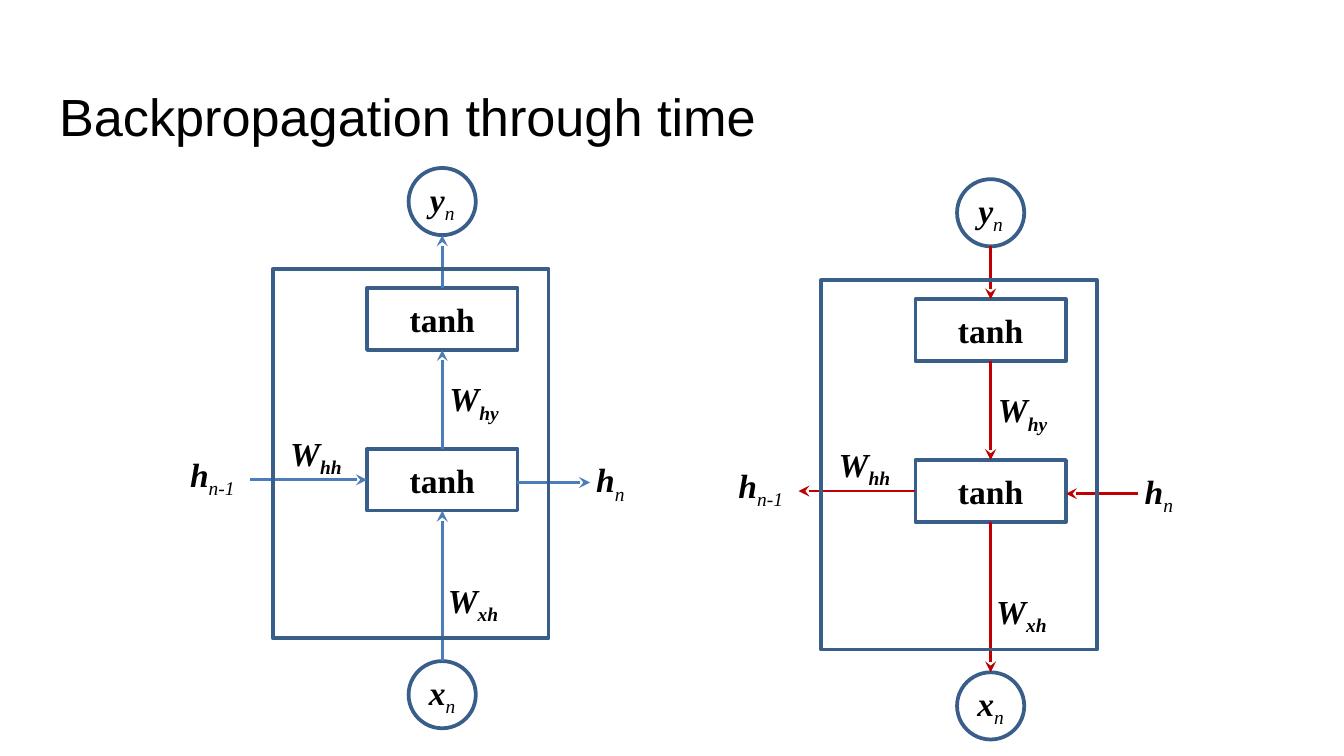
from dataclasses import dataclass
from typing import Optional

from lxml.etree import SubElement
from pptx import Presentation
from pptx.dml.color import RGBColor
from pptx.enum.shapes import MSO_CONNECTOR as Connector, MSO_SHAPE as Preset
from pptx.enum.text import MSO_ANCHOR as Anchor, PP_ALIGN as Align
from pptx.oxml.ns import qn
from pptx.util import Pt

BLACK = RGBColor(0x00, 0x00, 0x00)
OUTLINE = RGBColor(0x39, 0x5E, 0x89)
FORWARD_BLUE = RGBColor(0x4A, 0x7D, 0xBA)
BACKWARD_RED = RGBColor(0xC0, 0x00, 0x00)
SERIF = "Times New Roman"
TOP, LEFT, BOTTOM = 0, 1, 2


@dataclass(frozen=True)
class Symbol:
    base: str
    subscript: str = ""
    italic: bool = True
    bold_subscript: bool = False


@dataclass(frozen=True)
class Node:
    name: str
    symbol: Optional[Symbol]
    preset: Preset
    left: float
    top: float
    width: float
    height: float


@dataclass(frozen=True)
class Label:
    symbol: Symbol
    left: float
    top: float
    width: float
    align: Align


@dataclass(frozen=True)
class Link:
    """Runs in the forward direction; ends may be joined to (node, site)."""
    start: tuple[float, float]
    end: tuple[float, float]
    source: Optional[tuple[str, int]] = None
    target: Optional[tuple[str, int]] = None


@dataclass(frozen=True)
class Pass:
    left: float
    top: float
    color: RGBColor
    arrow_end: str


# Positions inside one network cell, measured from the frame's corner
AXIS = 90.72
BOX_W, BOX_H, CIRCLE, LABEL_H = 80.64, 33.12, 36, 28.8
BOX_LEFT, CIRCLE_LEFT = AXIS - BOX_W / 2, AXIS - CIRCLE / 2
OUTPUT_TOP, HIDDEN_TOP, Y_TOP, X_TOP = 10.4, 96.5, -54, 210.2
HIDDEN_MIDDLE = HIDDEN_TOP + BOX_H / 2
TANH = Symbol("tanh", italic=False)

NODES = [
    Node("x", Symbol("x", "n"), Preset.OVAL, CIRCLE_LEFT, X_TOP, CIRCLE, CIRCLE),
    Node("hidden", TANH, Preset.RECTANGLE, BOX_LEFT, HIDDEN_TOP, BOX_W, BOX_H),
    Node("y", Symbol("y", "n"), Preset.OVAL, CIRCLE_LEFT, Y_TOP, CIRCLE, CIRCLE),
    Node("output", TANH, Preset.RECTANGLE, BOX_LEFT, OUTPUT_TOP, BOX_W, BOX_H),
]
FRAME = Node("frame", None, Preset.RECTANGLE, 0, 0, 147.6, 198)

LINKS = [
    Link((AXIS, X_TOP), (AXIS, HIDDEN_TOP + BOX_H), ("x", TOP), ("hidden", BOTTOM)),
    Link((AXIS, OUTPUT_TOP), (AXIS, Y_TOP + CIRCLE), source=("output", TOP)),
    Link((-12.2, HIDDEN_MIDDLE), (BOX_LEFT, HIDDEN_MIDDLE), target=("hidden", LEFT)),
    Link((BOX_LEFT + BOX_W, 114.5), (169.9, 114.5)),
    Link((AXIS, HIDDEN_TOP), (AXIS, OUTPUT_TOP + BOX_H),
         ("hidden", TOP), ("output", BOTTOM)),
]

LABELS = [
    Label(Symbol("W", "xh", bold_subscript=True), 86.6, 162.9, 43.2, Align.LEFT),
    Label(Symbol("W", "hh", bold_subscript=True), 2.2, 84.2, 43.9, Align.LEFT),
    Label(Symbol("W", "hy", bold_subscript=True), 87.5, 55.1, 42.5, Align.LEFT),
    Label(Symbol("h", "n-1"), -52.9, 95.5, 41, Align.CENTER),
    Label(Symbol("h", "n"), 165.3, 98.6, 31, Align.CENTER),
]

PASSES = [
    Pass(440, 150, BACKWARD_RED, "a:headEnd"),
    Pass(146.2, 144, FORWARD_BLUE, "a:tailEnd"),
]


def write_symbol(paragraph, symbol: Symbol, align: Align) -> None:
    paragraph.alignment = align
    parts = [(symbol.base, True, False)]
    if symbol.subscript:
        parts.append((symbol.subscript, symbol.bold_subscript, True))
    for text, bold, lowered in parts:
        run = paragraph.add_run()
        run.text = text
        font = run.font
        font.name, font.size = SERIF, Pt(18)
        font.bold, font.italic = bold, symbol.italic
        font.color.rgb = BLACK
        if lowered:
            run._r.get_or_add_rPr().set("baseline", "-25000")


def draw_node(slide, node: Node, origin: Pass):
    shape = slide.shapes.add_shape(
        node.preset, Pt(origin.left + node.left), Pt(origin.top + node.top),
        Pt(node.width), Pt(node.height))
    shape.shadow.inherit = False
    shape.fill.background()
    shape.line.color.rgb = OUTLINE
    shape.line.width = Pt(2)
    if node.symbol:
        frame = shape.text_frame
        frame.margin_left = frame.margin_right = 0
        frame.margin_top = frame.margin_bottom = 0
        frame.vertical_anchor = Anchor.MIDDLE
        write_symbol(frame.paragraphs[0], node.symbol, Align.CENTER)
    return shape


def draw_label(slide, label: Label, origin: Pass) -> None:
    box = slide.shapes.add_textbox(
        Pt(origin.left + label.left), Pt(origin.top + label.top),
        Pt(label.width), Pt(LABEL_H))
    box.text_frame.word_wrap = False
    write_symbol(box.text_frame.paragraphs[0], label.symbol, label.align)


def draw_link(slide, link: Link, origin: Pass, shapes: dict) -> None:
    (x1, y1), (x2, y2) = link.start, link.end
    connector = slide.shapes.add_connector(
        Connector.STRAIGHT, Pt(origin.left + x1), Pt(origin.top + y1),
        Pt(origin.left + x2), Pt(origin.top + y2))
    if link.source:
        name, site = link.source
        connector.begin_connect(shapes[name], site)
    if link.target:
        name, site = link.target
        connector.end_connect(shapes[name], site)
    connector.line.color.rgb = origin.color
    connector.line.width = Pt(1.5)
    SubElement(connector.line._get_or_add_ln(), qn(origin.arrow_end), type="stealth")
    SubElement(connector._element.spPr, qn("a:effectLst"))


def draw_pass(slide, origin: Pass) -> None:
    shapes = {node.name: draw_node(slide, node, origin) for node in NODES}
    for link in LINKS:
        draw_link(slide, link, origin, shapes)
    for label in LABELS:
        draw_label(slide, label, origin)
    draw_node(slide, FRAME, origin)


def write_title(slide, text: str) -> None:
    title = slide.shapes.title
    title.left, title.top = Pt(24.5), Pt(35.3)
    title.width, title.height = Pt(671), Pt(45.4)
    frame = title.text_frame
    frame.margin_left = frame.margin_right = frame.margin_bottom = Pt(7.2)
    frame.margin_top = Pt(9.8)
    frame.vertical_anchor = Anchor.TOP
    paragraph = frame.paragraphs[0]
    paragraph.alignment = Align.LEFT
    run = paragraph.add_run()
    run.text = text
    run.font.name, run.font.size = "Arial", Pt(28)
    run.font.color.rgb = BLACK


def main() -> None:
    presentation = Presentation()
    presentation.slide_width, presentation.slide_height = Pt(720), Pt(405)
    title_only = presentation.slide_layouts[5]
    slide = presentation.slides.add_slide(title_only)
    write_title(slide, "Backpropagation through time")
    for origin in PASSES:
        draw_pass(slide, origin)
    presentation.save("out.pptx")


if __name__ == "__main__":
    main()
